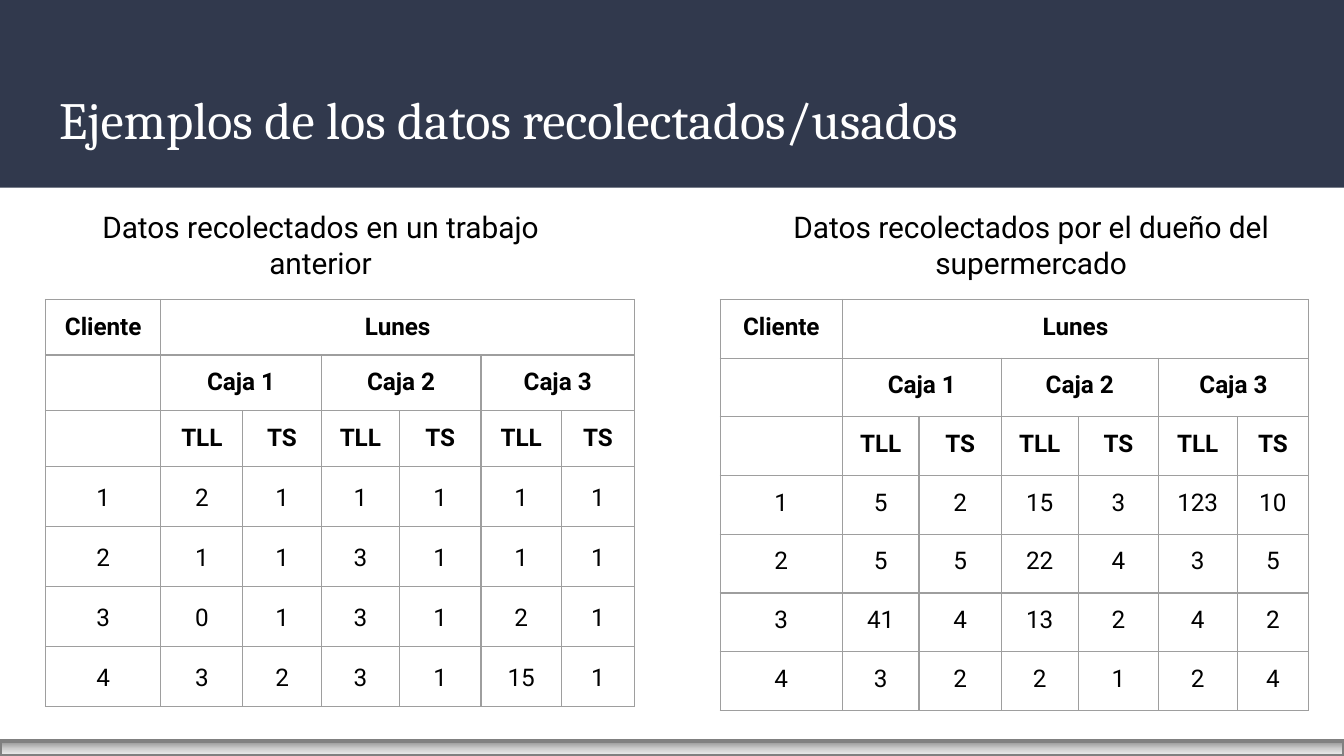
from copy import deepcopy

from lxml.etree import SubElement
from pptx import Presentation
from pptx.dml.color import RGBColor
from pptx.enum.shapes import MSO_SHAPE
from pptx.enum.text import PP_ALIGN
from pptx.oxml import parse_xml
from pptx.oxml.ns import nsdecls, qn
from pptx.util import Cm, Pt


def color(value):
    return RGBColor.from_string(value)


def write(frame, text, font, size, ink, align=PP_ALIGN.LEFT, bold=False):
    paragraph = frame.paragraphs[0]
    paragraph.alignment = align
    span = paragraph.add_run()
    span.text = text
    span.font.name = font
    span.font.size = Pt(size)
    span.font.bold = bold
    span.font.color.rgb = color(ink)
    return paragraph


deck = Presentation()
deck.slide_width = Cm(25.4)
deck.slide_height = Cm(14.29)
page = deck.slides.add_slide(deck.slide_layouts[6])

# Title band
band = page.shapes.add_shape(MSO_SHAPE.RECTANGLE, 0, 0, deck.slide_width, Cm(3.55))
band.shadow.inherit = False
band.fill.solid()
band.fill.fore_color.rgb = color("31394D")
band.line.fill.background()

# Title and the two table captions: left, top, width, text, font, size, ink, align
texts = [
    (0.87, 1.4, 23.67, "Ejemplos de los datos recolectados/usados",
     "Cambria", 28, "FFFFFF", PP_ALIGN.LEFT),
    (0.84, 3.7, 10.44, "Datos recolectados en un trabajo anterior",
     "Roboto", 16, "000000", PP_ALIGN.CENTER),
    (14.27, 3.7, 10.44, "Datos recolectados por el dueño del supermercado",
     "Roboto", 16, "000000", PP_ALIGN.CENTER),
]
for left, top, width, text, font, size, ink, align in texts:
    box = page.shapes.add_textbox(Cm(left), Cm(top), Cm(width), Cm(1.73))
    frame = box.text_frame
    frame.word_wrap = True
    frame.margin_left = frame.margin_right = Cm(0.25)
    frame.margin_top = frame.margin_bottom = Cm(0.25)
    write(frame, text, font, size, ink, align)

# Tables: three header rows, then the clients
headers = [
    ["Cliente", "Lunes", "", "", "", "", ""],
    ["", "Caja 1", "", "Caja 2", "", "Caja 3", ""],
    [""] + ["TLL", "TS"] * 3,
]
tables = [
    {
        "left": 0.86,
        "columns": [2.18, 1.55, 1.48, 1.48, 1.54, 1.52, 1.38],
        "heights": [1.04] * 3 + [1.12] * 4,
        "spacing": 1.15,
        "clients": [
            [1, 2, 1, 1, 1, 1, 1],
            [2, 1, 1, 3, 1, 1, 1],
            [3, 0, 1, 3, 1, 2, 1],
            [4, 3, 2, 3, 1, 15, 1],
        ],
    },
    {
        "left": 13.61,
        "columns": [2.31, 1.45, 1.55, 1.46, 1.51, 1.49, 1.35],
        "heights": [1.11] * 7,
        "spacing": 1,
        "clients": [
            [1, 5, 2, 15, 3, 123, 10],
            [2, 5, 5, 22, 4, 3, 5],
            [3, 41, 4, 13, 2, 4, 2],
            [4, 3, 2, 2, 1, 2, 4],
        ],
    },
]
for data in tables:
    rows = headers + data["clients"]
    graphic = page.shapes.add_table(
        len(rows), len(data["columns"]), Cm(data["left"]), Cm(5.66),
        Cm(sum(data["columns"])), Cm(sum(data["heights"])))
    table = graphic.table
    table.first_row = table.horz_banding = False
    for column, width in zip(table.columns, data["columns"]):
        column.width = Cm(width)
    for row, height in zip(table.rows, data["heights"]):
        row.height = Cm(height)

    for row_index, row in enumerate(rows):
        is_header = row_index < len(headers)
        for column_index, value in enumerate(row):
            cell = table.cell(row_index, column_index)
            cell.margin_left = cell.margin_right = Cm(0.25)
            cell.margin_top = cell.margin_bottom = Cm(0.25)
            cell.fill.background()
            # Grey border on each side, placed before the fill
            properties = cell._tc.get_or_add_tcPr()
            for place, side in enumerate(["lnL", "lnR", "lnT", "lnB"]):
                properties.insert(place, parse_xml(
                    f'<a:{side} {nsdecls("a")} w="9525"><a:solidFill>'
                    f'<a:srgbClr val="9E9E9E"/></a:solidFill></a:{side}>'))
            if value == "":
                # Empty cells keep the text size so rows do not grow
                SubElement(cell.text_frame.paragraphs[0]._p,
                           qn("a:endParaRPr"), sz="1300")
                continue
            paragraph = write(cell.text_frame, str(value), "Roboto", 13,
                              "000000", PP_ALIGN.CENTER, is_header)
            if not is_header:
                paragraph.line_spacing = float(data["spacing"])

    # The day spans all tills, each till spans its two times
    table.cell(0, 1).merge(table.cell(0, 6))
    for first in (1, 3, 5):
        table.cell(1, first).merge(table.cell(1, first + 1))

# Bottom bar, dark to light downwards
bar = page.shapes.add_shape(
    MSO_SHAPE.RECTANGLE, 0, Cm(14.01), deck.slide_width, Cm(0.28))
bar.shadow.inherit = False
bar.fill.gradient()
bar.fill.gradient_angle = 270
last_stop = bar._element.spPr.find(".//" + qn("a:gs") + "[last()]")
last_stop.addnext(deepcopy(last_stop))
for stop, position, tone in zip(
        bar.fill.gradient_stops, [0, 0.5, 1], ["909090", "CCCCCC", "F2F2F2"]):
    stop.position = position
    stop.color.rgb = color(tone)
bar.line.color.rgb = color("808080")
bar.line.width = Pt(2)

deck.save("out.pptx")
